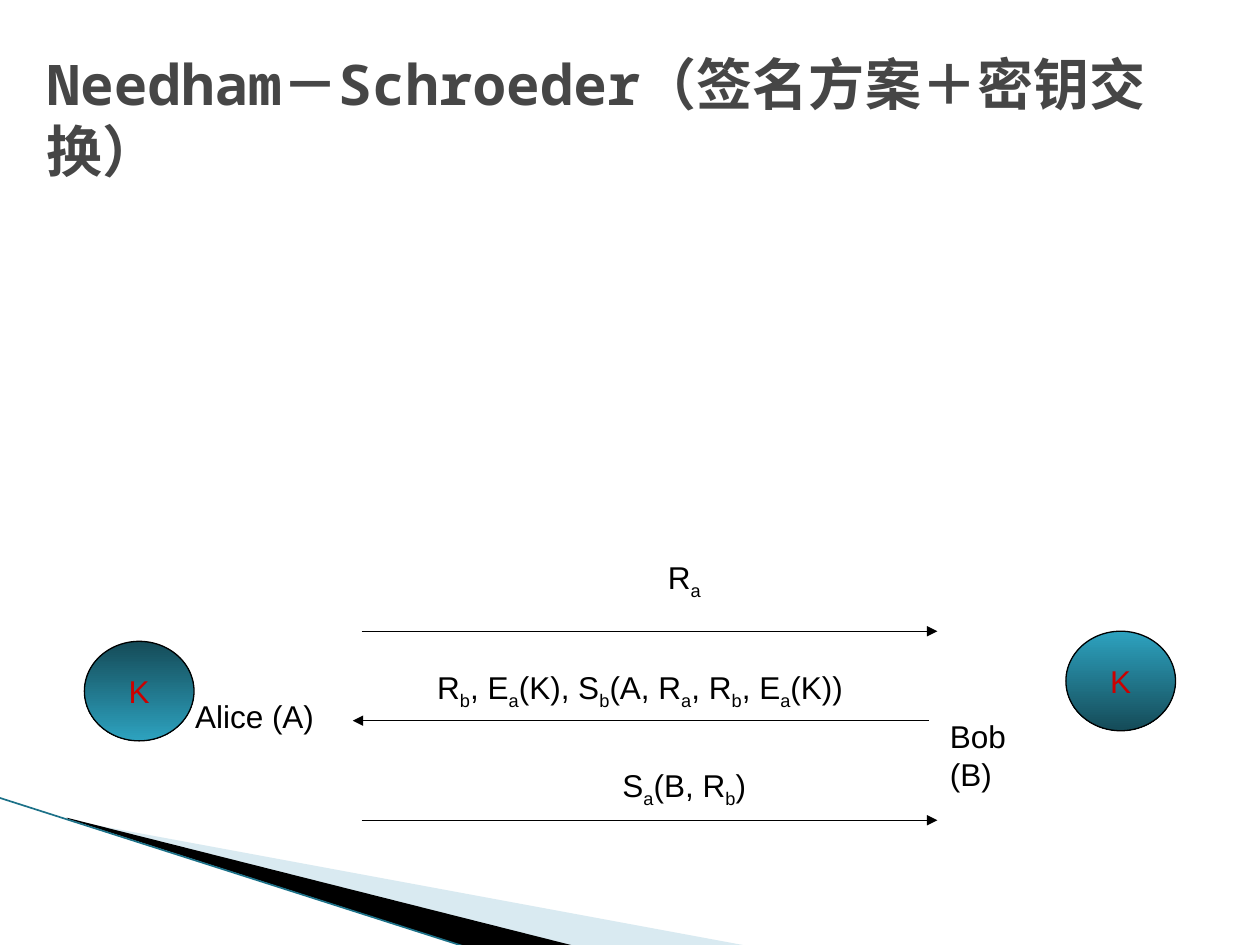
"""Build the Needham-Schroeder signed key exchange slide."""
from lxml import etree
from pptx import Presentation
from pptx import util as u
from pptx.dml.color import RGBColor
from pptx.enum import shapes, text
from pptx.oxml.ns import qn

COLORS = {"title": "464646", "ink": "000000", "key": "CC0000", "pale": "A0CBDC",
          "edge": "1C7188", "light": "2DA2BF", "dark": "154B58"}
TITLE = "Needham－Schroeder（签名方案＋密钥交换）"
WEDGES = [
    ("pale", 40, [(0.55, 6.51), (5.95, 7.51), (4.56, 7.51), (0.55, 6.5)]),
    ("ink", 100, [(0.53, 6.49), (4.57, 7.51), (3.72, 7.52), (0.54, 6.5)]),
]
PARTIES = [("Alice (A)", 1.45, 5.48, 1.26), ("Bob (B)", 7.44, 5.64, 1.02)]
KEYS = [(0.67, 5.09, ("dark", "light")), (8.46, 5.01, ("light", "dark"))]
MESSAGES = [
    ("R_a", 5.43, 4.38, 3.39, 2.87, 5.01, "tailEnd"),
    ("R_b, E_a(K), S_b(A, R_a, R_b, E_a(K))", 5.08, 5.25, 4.88, 2.8, 5.72, "headEnd"),
    ("S_a(B, R_b)", 5.43, 6.03, 3.39, 2.87, 6.51, "tailEnd"),
]
ARROW_W, LABEL_H = 4.57, 0.4
KEY_W, KEY_H = 0.87, 0.79


def rgb(name):
    return RGBColor.from_string(COLORS[name])


def style(p, size, font, color, align=text.PP_ALIGN.LEFT):
    p.alignment = align
    p.font.size, p.font.name = u.Pt(size), font
    p.font.color.rgb = rgb(color)


def add_label(s, label, x, y, w, align=text.PP_ALIGN.LEFT):
    """Write a label in which each underscore lowers the next letter."""
    tf = s.shapes.add_textbox(*map(u.Inches, (x, y, w, LABEL_H))).text_frame
    tf.word_wrap = True
    p = tf.paragraphs[0]
    style(p, 18, "Arial", "ink", align)
    first, *rest = label.split("_")
    p.add_run().text = first
    for part in rest:
        r = p.add_run()
        r.text = part[0]
        r.font._element.set("baseline", "-25000")
        if part[1:]:
            p.add_run().text = part[1:]


def add_line(s, x1, y1, x2, y2, color, width, arrow=None):
    line = s.shapes.add_connector(shapes.MSO_CONNECTOR.STRAIGHT,
                                  *map(u.Inches, (x1, y1, x2, y2)))
    line.line.color.rgb, line.line.width = rgb(color), u.Pt(width)
    if arrow:
        etree.SubElement(line.line._get_or_add_ln(), qn("a:" + arrow), type="triangle")
    etree.SubElement(line._element.spPr, qn("a:effectLst"))


def add_wedge(s, color, opacity, points):
    start, *rest = [(u.Inches(x), u.Inches(y)) for x, y in points]
    builder = s.shapes.build_freeform(*start)
    builder.add_line_segments(rest, close=True)
    sp = builder.convert_to_shape()
    sp.shadow.inherit = False
    sp.fill.solid()
    sp.fill.fore_color.rgb = rgb(color)
    sp.line.fill.background()
    if opacity < 100:
        fill = sp._element.spPr.find(".//" + qn("a:srgbClr"))
        etree.SubElement(fill, qn("a:alpha"), val=str(opacity * 1000))


def add_key(s, x, y, gradient):
    sp = s.shapes.add_shape(shapes.MSO_SHAPE.OVAL, *map(u.Inches, (x, y, KEY_W, KEY_H)))
    sp.shadow.inherit = False
    sp.fill.gradient()
    sp.fill.gradient_angle = 270
    for stop, color in zip(sp.fill.gradient_stops, gradient):
        stop.color.rgb = rgb(color)
    sp.line.color.rgb, sp.line.width = rgb("ink"), u.Pt(0.75)
    tf = sp.text_frame
    tf.word_wrap = False
    tf.vertical_anchor = text.MSO_ANCHOR.MIDDLE
    p = tf.paragraphs[0]
    p.text = "K"
    style(p, 18, "Arial", "key", text.PP_ALIGN.CENTER)


def add_title(s):
    sp = s.shapes.title
    sp.left, sp.top, sp.width, sp.height = map(u.Inches, (0.27, 0.3, 9.73, 1.25))
    tf = sp.text_frame
    tf.text = TITLE
    tf.auto_size = text.MSO_AUTO_SIZE.NONE
    tf.vertical_anchor = text.MSO_ANCHOR.MIDDLE
    p = tf.paragraphs[0]
    style(p, 32, "Noto Sans Mono", "title")
    p.font.bold = True


def main():
    prs = Presentation()
    prs.slide_width, prs.slide_height = u.Inches(10), u.Inches(7.5)
    s = prs.slides.add_slide(prs.slide_layouts[5])
    for wedge in WEDGES:
        add_wedge(s, *wedge)
    add_line(s, -0.01, 6.33, 3.71, 7.52, "edge", 0.95)
    add_title(s)
    for party in PARTIES:
        add_label(s, *party)
    for label, center, top, width, x, y, arrow in MESSAGES:
        add_line(s, x, y, x + ARROW_W, y, "ink", 0.75, arrow)
        add_label(s, label, center - width / 2, top, width, text.PP_ALIGN.CENTER)
    for key in KEYS:
        add_key(s, *key)
    prs.save("out.pptx")


if __name__ == "__main__":
    main()
